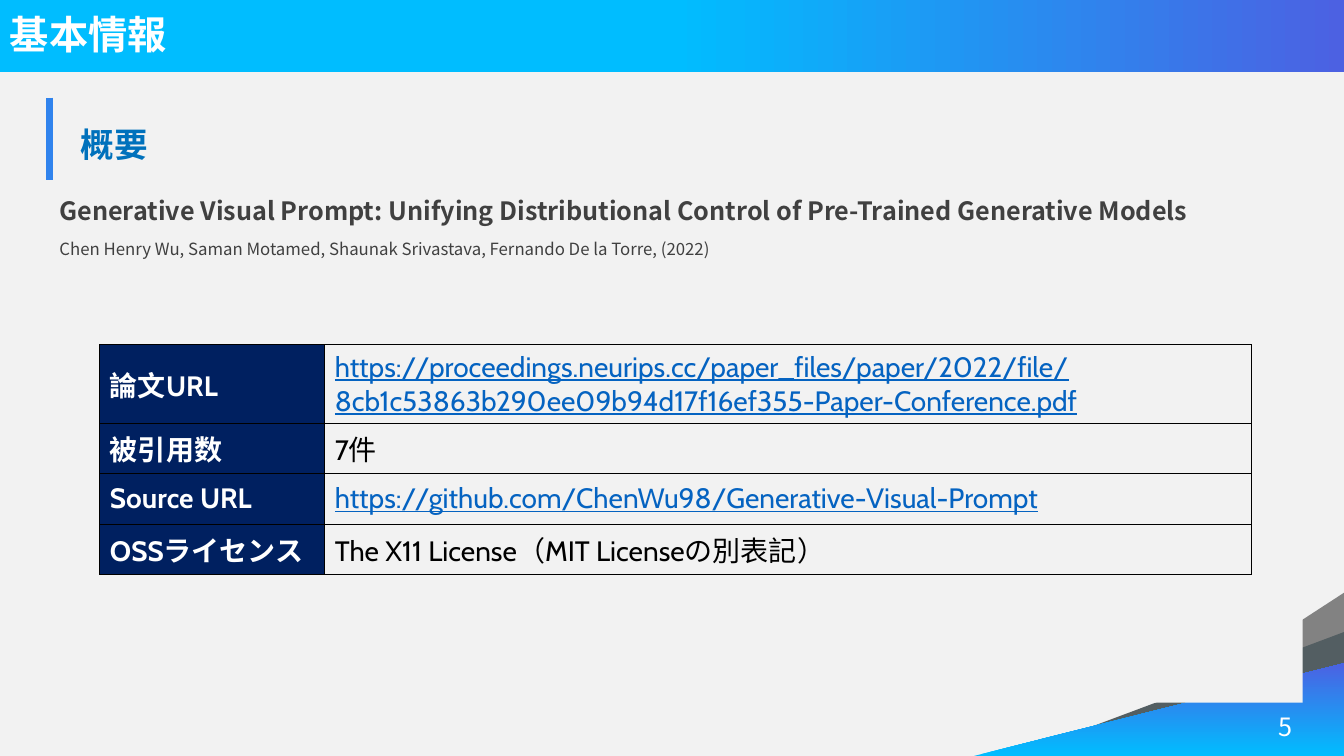
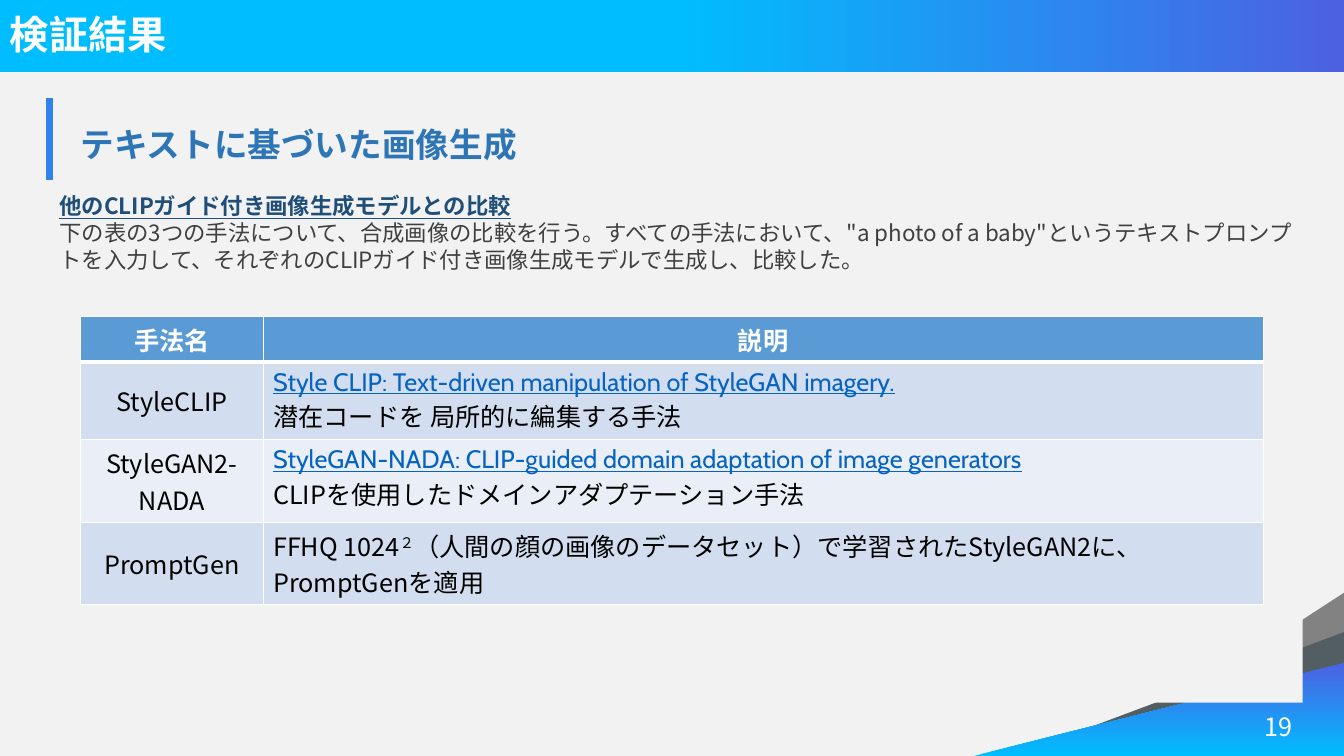
from dataclasses import dataclass

from lxml import etree
from pptx import Presentation
from pptx.dml.color import RGBColor
from pptx.enum.shapes import MSO_SHAPE
from pptx.enum.text import MSO_ANCHOR, PP_ALIGN
from pptx.oxml.ns import qn
from pptx.util import Inches, Pt

RECTANGLE = MSO_SHAPE.RECTANGLE
TRIANGLE = MSO_SHAPE.RIGHT_TRIANGLE
TOP, MIDDLE = MSO_ANCHOR.TOP, MSO_ANCHOR.MIDDLE
LEFT, CENTER, RIGHT = PP_ALIGN.LEFT, PP_ALIGN.CENTER, PP_ALIGN.RIGHT

WIDTH, HEIGHT = Inches(13.33), Inches(7.5)
NOTO, CABIN = "Noto Sans CJK JP", "Cabin"
PAPER, WHITE, BLACK, GREY = "F2F2F2", "FFFFFF", "000000", "404040"
SKY, VIOLET, LINK, NAVY = "00BDFF", "4C61E2", "0563C1", "002060"
HEADER, BAND, PALE = "5B9BD5", "D2DEEF", "EAEFF7"
SIDES = ("lnL", "lnR", "lnT", "lnB")
CELL_MARGINS = (0.1, 0.05, 0.1, 0.05)
HEADING_MARGINS = (0.31, 0.16, 0.2, 0.14)
color = RGBColor.from_string


@dataclass
class Style:
    size: float
    color: str
    font: str = NOTO
    bold: bool = False
    underline: bool = False
    align: PP_ALIGN = LEFT
    anchor: MSO_ANCHOR = TOP
    spacing: float = 1.0
    before: float = 0
    baseline: int = 0


TITLE = Style(28, WHITE, bold=True, anchor=MIDDLE)
NUMBER = Style(18, WHITE, align=RIGHT)
PAPER_TITLE = Style(18, GREY, bold=True, spacing=1.1)
AUTHORS = Style(12, GREY, spacing=1.1, before=8)
SUBTITLE = Style(16, "1F4E79", bold=True, underline=True)
BODY = Style(16, GREY)
OVERVIEW = Style(24, "0071BC", bold=True, anchor=MIDDLE, spacing=1.1)
RESULTS = Style(24, "2E75B6", bold=True, anchor=MIDDLE, spacing=1.1)
LABEL = Style(20, WHITE, CABIN, bold=True, anchor=MIDDLE)
ADDRESS = Style(20, LINK, CABIN, underline=True, anchor=MIDDLE)
VALUE = Style(20, BLACK, CABIN, anchor=MIDDLE)
COLUMN_HEAD = Style(18, WHITE, bold=True, align=CENTER)
METHOD = Style(18, BLACK, align=CENTER, anchor=MIDDLE)
REFERENCE = Style(18, LINK, CABIN, underline=True)
DETAIL = Style(18, BLACK)
POWER = Style(18, BLACK, baseline=30000)

information = {
    "area": (7.43, 45.6, 85.67, 30.4),
    "columns": (2.23, 9.19),
    "rows": (0.78, 0.5, 0.5, 0.5),
    "line": BLACK,
    "edges": (1, 1, 1, 1),
    "header_edge": 1,
    "margins": CELL_MARGINS,
    "fills": [(NAVY, None)] * 4,
    "cells": [
        ([[("論文URL", LABEL)]],
         [[("https://proceedings.neurips.cc/paper_files/paper/2022/file/"
            "8cb1c53863b290ee09b94d17f16ef355-Paper-Conference.pdf", ADDRESS)]]),
        ([[("被引用数", LABEL)]], [[("7件", VALUE)]]),
        ([[("Source URL", LABEL)]],
         [[("https://github.com/ChenWu98/Generative-Visual-Prompt", ADDRESS)]]),
        ([[("OSSライセンス", LABEL)]],
         [[("The X11 License（MIT Licenseの別表記）", VALUE)]]),
    ],
}

methods = {
    "area": (6, 41.87, 88, 38.13),
    "columns": (1.81, 9.92),
    "rows": (0.45, 0.77, 0.82, 0.82),
    "line": WHITE,
    "edges": (1, 1, 1, 1),
    "header_edge": 3,
    "margins": CELL_MARGINS,
    "fills": [(fill, fill) for fill in (HEADER, BAND, PALE, BAND)],
    "cells": [
        ([[("手法名", COLUMN_HEAD)]], [[("説明", COLUMN_HEAD)]]),
        ([[("StyleCLIP", METHOD)]],
         [[("Style CLIP: Text-driven manipulation of StyleGAN imagery.", REFERENCE)],
          [("潜在コードを 局所的に編集する手法", DETAIL)]]),
        ([[("StyleGAN2-NADA", METHOD)]],
         [[("StyleGAN-NADA: CLIP-guided domain adaptation of image generators", REFERENCE)],
          [("CLIPを使用したドメインアダプテーション手法", DETAIL)]]),
        ([[("PromptGen", METHOD)]],
         [[("FFHQ 1024", DETAIL), ("２", POWER),
           ("（人間の顔の画像のデータセット）で学習されたStyleGAN2に、PromptGenを適用", DETAIL)]]),
    ],
}

pages = [
    {
        "title": "基本情報",
        "number": "5",
        "heading": ("概要", OVERVIEW),
        "body": [
            [("Generative Visual Prompt: Unifying Distributional Control of "
              "Pre-Trained Generative Models", PAPER_TITLE)],
            [("Chen Henry Wu, Saman Motamed, Shaunak Srivastava, "
              "Fernando De la Torre, (2022)", AUTHORS)],
        ],
        "table": information,
    },
    {
        "title": "検証結果",
        "number": "19",
        "heading": ("テキストに基づいた画像生成", RESULTS),
        "body": [
            [("他のCLIPガイド付き画像生成モデルとの比較", SUBTITLE)],
            [("下の表の3つの手法について、合成画像の比較を行う。すべての手法において、"
              "\"a photo of a baby\"というテキストプロンプトを入力して、"
              "それぞれのCLIPガイド付き画像生成モデルで生成し、比較した。", BODY)],
        ],
        "table": methods,
    },
]


def area(left, top, width, height):
    return (round(left * WIDTH / 100), round(top * HEIGHT / 100),
            round(width * WIDTH / 100), round(height * HEIGHT / 100))


def write(frame, paragraphs):
    frame.word_wrap = True
    for index, spans in enumerate(paragraphs):
        para = frame.add_paragraph() if index else frame.paragraphs[0]
        first = spans[0][1]
        para.alignment = first.align
        para.line_spacing = first.spacing
        if index:
            para.space_before = Pt(first.before)
        for text, style in spans:
            span = para.add_run()
            span.text = text
            span.font.size = Pt(style.size)
            span.font.bold = style.bold
            span.font.underline = style.underline
            span.font.color.rgb = color(style.color)
            span.font.name = style.font
            properties = span.font._element
            etree.SubElement(properties, qn("a:ea"), typeface=NOTO)
            if style.baseline:
                properties.set("baseline", str(style.baseline))


deck = Presentation()
deck.slide_width, deck.slide_height = WIDTH, HEIGHT

for content in pages:
    page = deck.slides.add_slide(deck.slide_layouts[6])
    page.background.fill.solid()
    page.background.fill.fore_color.rgb = color(PAPER)

    decorations = [(RECTANGLE, area(0, 0, 100, 9.47), 0, (SKY, VIOLET), 0.5)]
    for run, rise, colors in ((2.49, 1.62, ("828282",)),
                              (3.28, 1.23, ("535E62",)),
                              (3.67, 0.92, (SKY, VIOLET))):
        half = Inches((run + rise) / 2)
        corner = (WIDTH - half, HEIGHT - half, Inches(rise), Inches(run))
        decorations.append((TRIANGLE, corner, 270, colors, 0))
    decorations.append((RECTANGLE, area(3.68, 24.8, 93.25, 68.13), 0, (PAPER,), 0))

    for kind, place, rotation, colors, start in decorations:
        shape = page.shapes.add_shape(kind, *place)
        shape.shadow.inherit = False
        shape.line.fill.background()
        shape.rotation = rotation
        if len(colors) == 1:
            shape.fill.solid()
            shape.fill.fore_color.rgb = color(colors[0])
        else:
            shape.fill.gradient()
            shape.fill.gradient_angle = 0
            for stop, position, shade in zip(shape.fill.gradient_stops, (start, 1), colors):
                stop.position = position
                stop.color.rgb = color(shade)

    shape.text_frame.vertical_anchor = TOP
    write(shape.text_frame, content["body"])

    for text, style, place in ((content["title"], TITLE, area(0, 0, 81.25, 9.07)),
                               (content["number"], NUMBER, area(73.6, 93.47, 23.33, 3.6))):
        box = page.shapes.add_textbox(*place)
        box.text_frame.vertical_anchor = style.anchor
        write(box.text_frame, [[(text, style)]])

    heading = {
        "area": area(3.68, 12.93, 93.25, 11),
        "columns": (12.43,),
        "rows": (0.82,),
        "line": "3083ED",
        "edges": (6, 0, 0, 0),
        "header_edge": 0,
        "margins": HEADING_MARGINS,
        "fills": [(PAPER,)],
        "cells": [([[content["heading"]]],)],
    }
    details = content["table"]
    for grid, place in ((heading, heading["area"]), (details, area(*details["area"]))):
        table = page.shapes.add_table(len(grid["rows"]), len(grid["columns"]), *place).table
        table.first_row = table.horz_banding = False
        for column, width in zip(table.columns, grid["columns"]):
            column.width = Inches(width)
        for row_index, height in enumerate(grid["rows"]):
            table.rows[row_index].height = Inches(height)
            left, right, top, bottom = grid["edges"]
            if row_index == 0:
                bottom = grid["header_edge"]
            elif row_index == 1:
                top = grid["header_edge"]
            for column_index, paragraphs in enumerate(grid["cells"][row_index]):
                cell = table.cell(row_index, column_index)
                (cell.margin_left, cell.margin_top,
                 cell.margin_right, cell.margin_bottom) = map(Inches, grid["margins"])
                cell.vertical_anchor = paragraphs[0][0][1].anchor
                fill = grid["fills"][row_index][column_index]
                if fill:
                    cell.fill.solid()
                    cell.fill.fore_color.rgb = color(fill)
                else:
                    cell.fill.background()
                write(cell.text_frame, paragraphs)
                properties = cell._tc.get_or_add_tcPr()
                for order, (side, points) in enumerate(zip(SIDES, (left, right, top, bottom))):
                    border = etree.Element(qn("a:" + side), w=str(Pt(points)))
                    if points:
                        paint = etree.SubElement(border, qn("a:solidFill"))
                        etree.SubElement(paint, qn("a:srgbClr"), val=grid["line"])
                    else:
                        etree.SubElement(border, qn("a:noFill"))
                    properties.insert(order, border)

deck.save("out.pptx")
